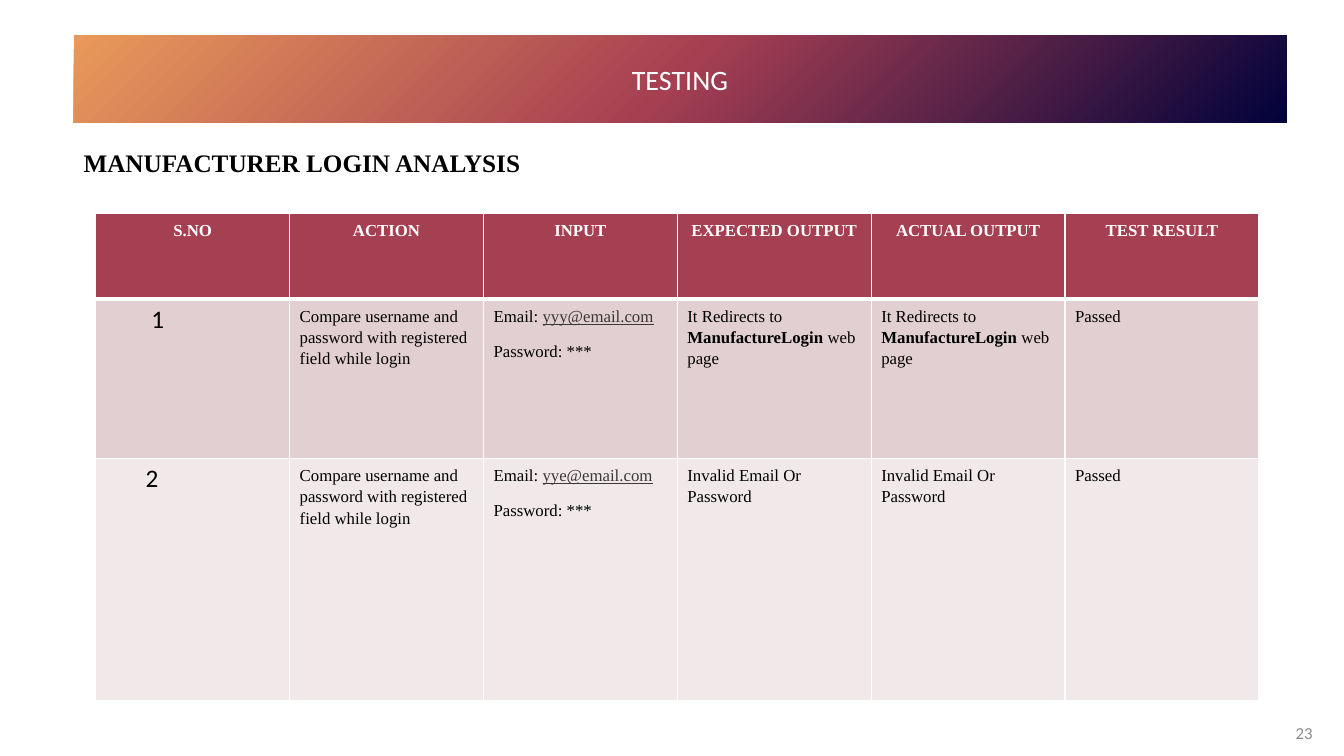
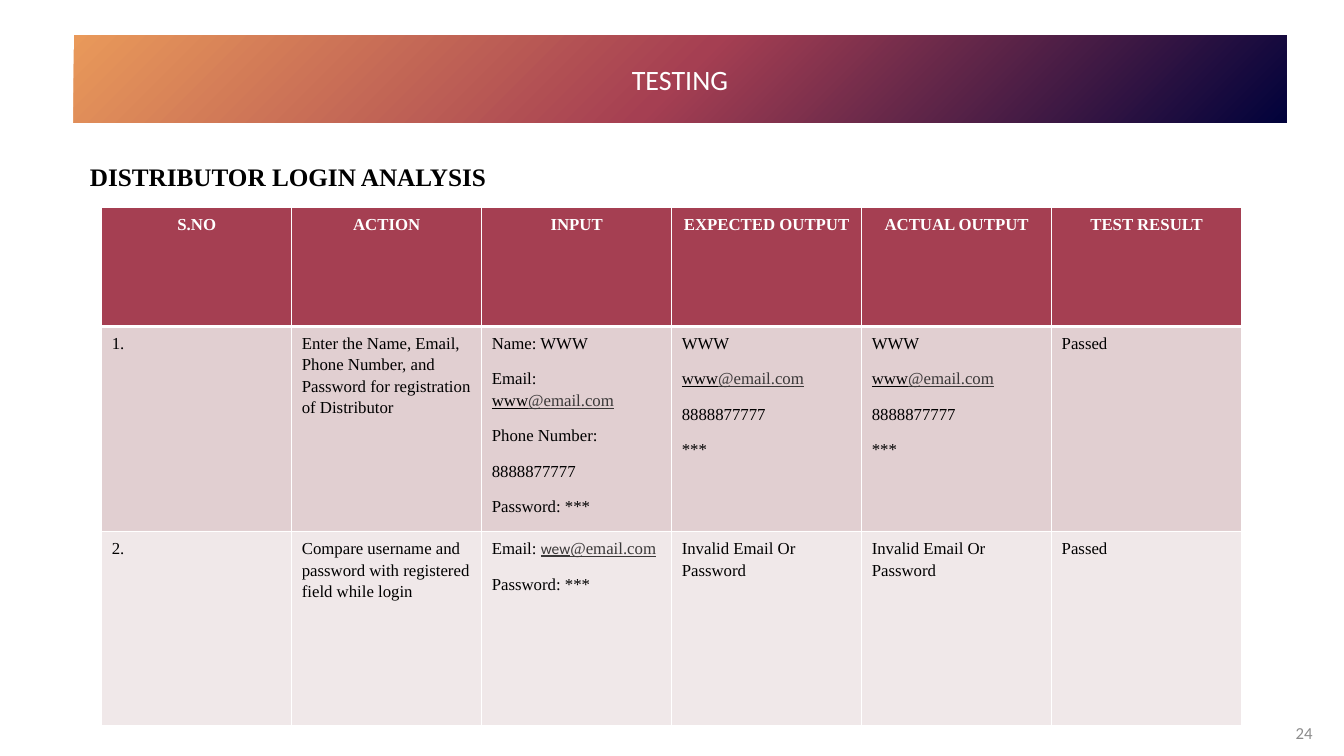
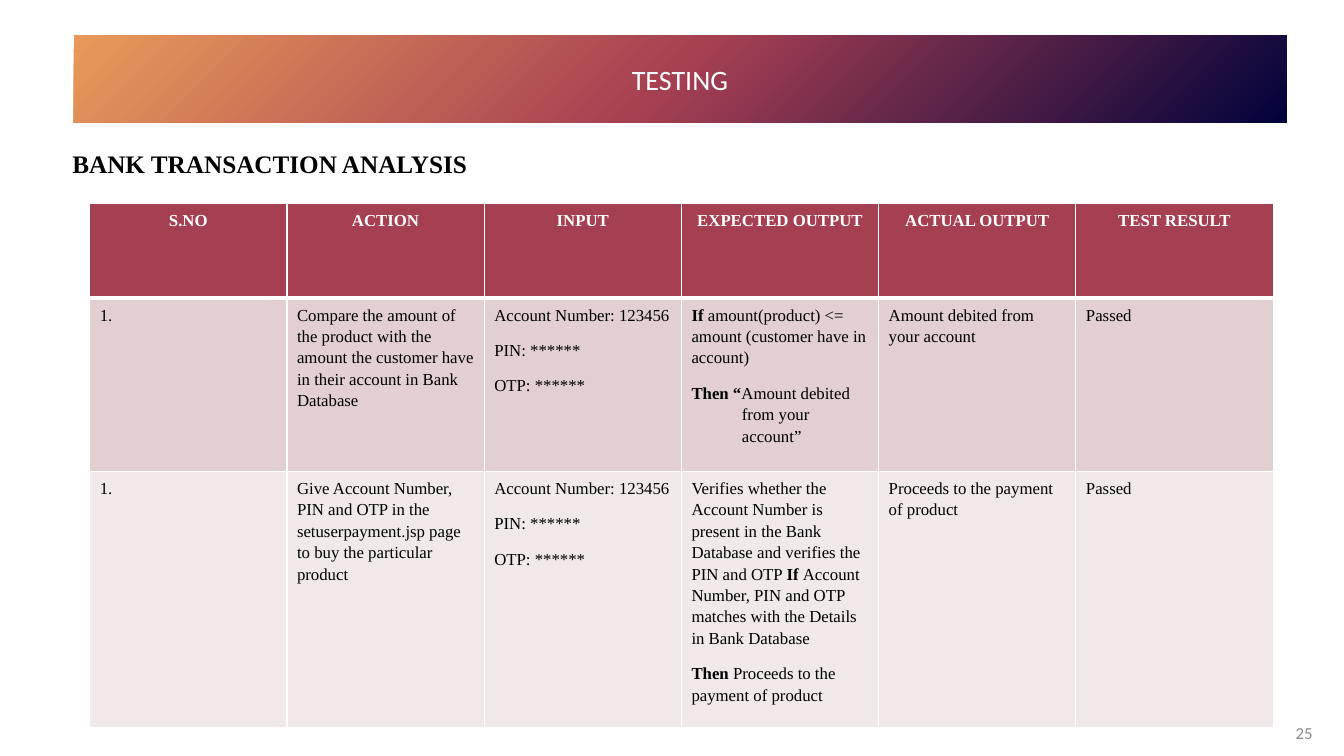
from dataclasses import dataclass
from typing import Optional, Union

from pptx import Presentation
from pptx.dml.color import RGBColor
from pptx.enum.shapes import MSO_SHAPE
from pptx.enum.text import MSO_ANCHOR, PP_ALIGN
from pptx.oxml import parse_xml
from pptx.oxml.ns import nsdecls, qn
from pptx.util import Pt

COLORS = {
    "navy": "01023B",
    "berry": "A53F52",
    "orange": "E9995A",
    "white": "FFFFFF",
    "black": "000000",
    "link": "3A3838",
    "number": "8C8C8C",
    "odd": "E1CFD1",
    "even": "F0E8E9",
}
SANS = "Calibri"
SERIF = "Times New Roman"
HEADERS = ("S.NO", "ACTION", "INPUT", "EXPECTED OUTPUT", "ACTUAL OUTPUT", "TEST RESULT")
FIRST_NUMBER = 23


@dataclass(frozen=True)
class Run:
    text: str
    bold: bool = False
    underline: bool = False
    color: str = "black"
    size: float = 12
    font: str = SERIF


@dataclass(frozen=True)
class Para:
    runs: tuple[Run, ...]
    left: float = 0
    first: float = 0
    spaced: bool = True


Cell = tuple[Union[str, Para], ...]


@dataclass(frozen=True)
class Page:
    heading: str
    heading_box: tuple[float, float, float, float]
    table_at: tuple[float, float]
    table_width: float
    row_heights: tuple[float, float, float]
    rows: tuple[tuple[Cell, ...], ...]
    heading_indent: float = 0
    heading_spacing: Optional[float] = None


def plain(*runs: Run) -> Para:
    return Para(runs)


def mail(*runs: Run) -> Para:
    return plain(Run("Email: "), *runs)


def link(text: str, **fmt) -> Run:
    return Run(text, underline=True, **{"color": "link", **fmt})


def serial(number: str, left: float) -> Cell:
    return (Para((Run(number, size=18, font=SANS),), left=left, spaced=False),)


PASSED: Cell = ("Passed",)
COMPARE: Cell = ("Compare username and password with registered field while login",)
INVALID: Cell = ("Invalid Email Or Password",)
PASSWORD = "Password: ***"
REDIRECTS: Cell = (
    plain(Run("It Redirects to "), Run("ManufactureLogin", bold=True), Run(" web page")),
)
PHONE = "8888877777"
WWW_MAIL = (link("www", color="black"), link("@email.com"))
REGISTERED: Cell = ("WWW", plain(*WWW_MAIL), PHONE, "***")
ACCOUNT: Cell = ("Account Number: 123456", "PIN: ******", "OTP: ******")

PAGES = (
    Page(
        "MANUFACTURER LOGIN ANALYSIS",
        (52.6, 101.5, 667.4, 28.8),
        (68.4, 152.6),
        830.9,
        (61.2, 113.8, 172.8),
        (
            (serial("1", 32.5), COMPARE, (mail(link("yyy@email.com")), PASSWORD),
             REDIRECTS, REDIRECTS, PASSED),
            (serial("2", 28.5), COMPARE, (mail(link("yye@email.com")), PASSWORD),
             INVALID, INVALID, PASSED),
        ),
    ),
    Page(
        "DISTRIBUTOR LOGIN ANALYSIS",
        (52.6, 108.7, 667.4, 31),
        (72.7, 148.3),
        814.3,
        (85, 138.2, 138.2),
        (
            (("1.",),
             ("Enter the Name, Email, Phone Number, and Password for registration of Distributor",),
             ("Name: WWW", mail(*WWW_MAIL), "Phone Number:", PHONE, PASSWORD),
             REGISTERED, REGISTERED, PASSED),
            (("2.",), COMPARE,
             (mail(link("wew", size=11, font=SANS), link("@email.com")), PASSWORD),
             INVALID, INVALID, PASSED),
        ),
        heading_indent=4.5,
        heading_spacing=1.15,
    ),
    Page(
        "BANK TRANSACTION ANALYSIS",
        (44.6, 102.2, 675.4, 28.8),
        (64.1, 145.4),
        845.3,
        (67.7, 123.8, 148.3),
        (
            (("1.",),
             ("Compare the amount of the product with the amount the customer have "
              "in their account in Bank Database",),
             ACCOUNT,
             (plain(Run("If ", bold=True),
                    Run("amount(product) <= amount (customer have in account)")),
              Para((Run("Then “", bold=True), Run("Amount debited from your account”")),
                   left=36, first=-36)),
             ("Amount debited from your account",), PASSED),
            (("1.",),
             ("Give Account Number, PIN and OTP in the setuserpayment.jsp page "
              "to buy the particular product",),
             ACCOUNT,
             (plain(Run("Verifies whether the Account Number is present in the Bank Database "
                        "and verifies the PIN and OTP "),
                    Run("If ", bold=True),
                    Run("Account Number, PIN and OTP matches with the Details in Bank Database")),
              plain(Run("Then ", bold=True), Run("Proceeds to the payment of product"))),
             ("Proceeds to the payment of product",), PASSED),
        ),
    ),
)


def rgb(name: str) -> RGBColor:
    return RGBColor.from_string(COLORS[name])


def write(p, text: str, *, size: float = 12, font: str = SERIF, color: str = "black",
          bold: bool = False, underline: bool = False, align=None) -> None:
    if align is not None:
        p.alignment = align
    r = p.add_run()
    r.text = text
    r.font.size = Pt(size)
    r.font.name = font
    r.font.bold = bold
    r.font.underline = underline
    r.font.color.rgb = rgb(color)


def indent(p, left: float, first: float = 0) -> None:
    pPr = p._p.get_or_add_pPr()
    pPr.set("marL", str(int(Pt(left))))
    pPr.set("indent", str(int(Pt(first))))


def space(p) -> None:
    p.line_spacing = 1.15
    p.space_after = Pt(10)


def add_text_box(slide, box: tuple[float, float, float, float]):
    tf = slide.shapes.add_textbox(*map(Pt, box)).text_frame
    tf.word_wrap = True
    return tf


def add_band(slide) -> None:
    s = slide.shapes.add_shape(MSO_SHAPE.RECTANGLE, Pt(52.6), Pt(25.2), Pt(866.2), Pt(62.6))
    s.shadow.inherit = False
    s.line.fill.background()
    s.fill.gradient()
    stops = "".join(
        f'<a:gs pos="{pos}"><a:srgbClr val="{COLORS[name]}"/></a:gs>'
        for pos, name in ((0, "navy"), (50000, "berry"), (100000, "orange"))
    )
    spPr = s._element.spPr
    spPr.replace(spPr.find(qn("a:gradFill")), parse_xml(
        f'<a:gradFill {nsdecls("a")} rotWithShape="1"><a:gsLst>{stops}</a:gsLst>'
        '<a:path path="circle"><a:fillToRect l="100000" t="100000"/></a:path>'
        '<a:tileRect r="-100000" b="-100000"/></a:gradFill>'
    ))
    tf = s.text_frame
    tf.vertical_anchor = MSO_ANCHOR.MIDDLE
    write(tf.paragraphs[0], "TESTING", size=20, font=SANS, color="white", align=PP_ALIGN.CENTER)


def add_number(slide, number: int) -> None:
    tf = add_text_box(slide, (909.4, 509, 35.3, 28.8))
    tf.vertical_anchor = MSO_ANCHOR.MIDDLE
    write(tf.paragraphs[0], str(number), font=SANS, color="number", align=PP_ALIGN.RIGHT)


def add_heading(slide, page: Page) -> None:
    p = add_text_box(slide, page.heading_box).paragraphs[0]
    if page.heading_indent:
        indent(p, page.heading_indent)
    if page.heading_spacing:
        p.line_spacing = page.heading_spacing
    write(p, page.heading, size=18, bold=True)


def style_cell(cell, row: int, fill: str) -> None:
    widths = {"L": 1, "R": 1, "T": 3 if row == 1 else 1, "B": 3 if row == 0 else 1}
    tcPr = cell._tc.get_or_add_tcPr()
    for side, width in widths.items():
        tcPr.append(parse_xml(
            f'<a:ln{side} {nsdecls("a")} w="{int(Pt(width))}"><a:solidFill>'
            f'<a:srgbClr val="{COLORS["white"]}"/></a:solidFill></a:ln{side}>'
        ))
    cell.fill.solid()
    cell.fill.fore_color.rgb = rgb(fill)


def fill_cell(cell, content: Cell) -> None:
    tf = cell.text_frame
    for i, item in enumerate(content):
        para = plain(Run(item)) if isinstance(item, str) else item
        p = tf.add_paragraph() if i else tf.paragraphs[0]
        if para.left:
            indent(p, para.left, para.first)
        if para.spaced:
            space(p)
        for run in para.runs:
            write(p, run.text, size=run.size, font=run.font, color=run.color,
                  bold=run.bold, underline=run.underline)


def add_results(slide, page: Page) -> None:
    left, top = page.table_at
    table = slide.shapes.add_table(
        len(page.row_heights), len(HEADERS), Pt(left), Pt(top),
        Pt(page.table_width), Pt(sum(page.row_heights)),
    ).table
    table.horz_banding = False
    for column in table.columns:
        column.width = Pt(page.table_width / len(HEADERS))
    for row, height in zip(table.rows, page.row_heights):
        row.height = Pt(height)
    for c, header in enumerate(HEADERS):
        cell = table.cell(0, c)
        style_cell(cell, 0, "berry")
        p = cell.text_frame.paragraphs[0]
        space(p)
        write(p, header, color="white", bold=True, align=PP_ALIGN.CENTER)
    for r, contents in enumerate(page.rows, start=1):
        for c, content in enumerate(contents):
            cell = table.cell(r, c)
            style_cell(cell, r, "odd" if r % 2 else "even")
            fill_cell(cell, content)


def main() -> None:
    prs = Presentation()
    prs.slide_width, prs.slide_height = Pt(960), Pt(540)
    for number, page in enumerate(PAGES, start=FIRST_NUMBER):
        slide = prs.slides.add_slide(prs.slide_layouts[6])
        add_band(slide)
        add_number(slide, number)
        add_heading(slide, page)
        add_results(slide, page)
    prs.save("out.pptx")


if __name__ == "__main__":
    main()
